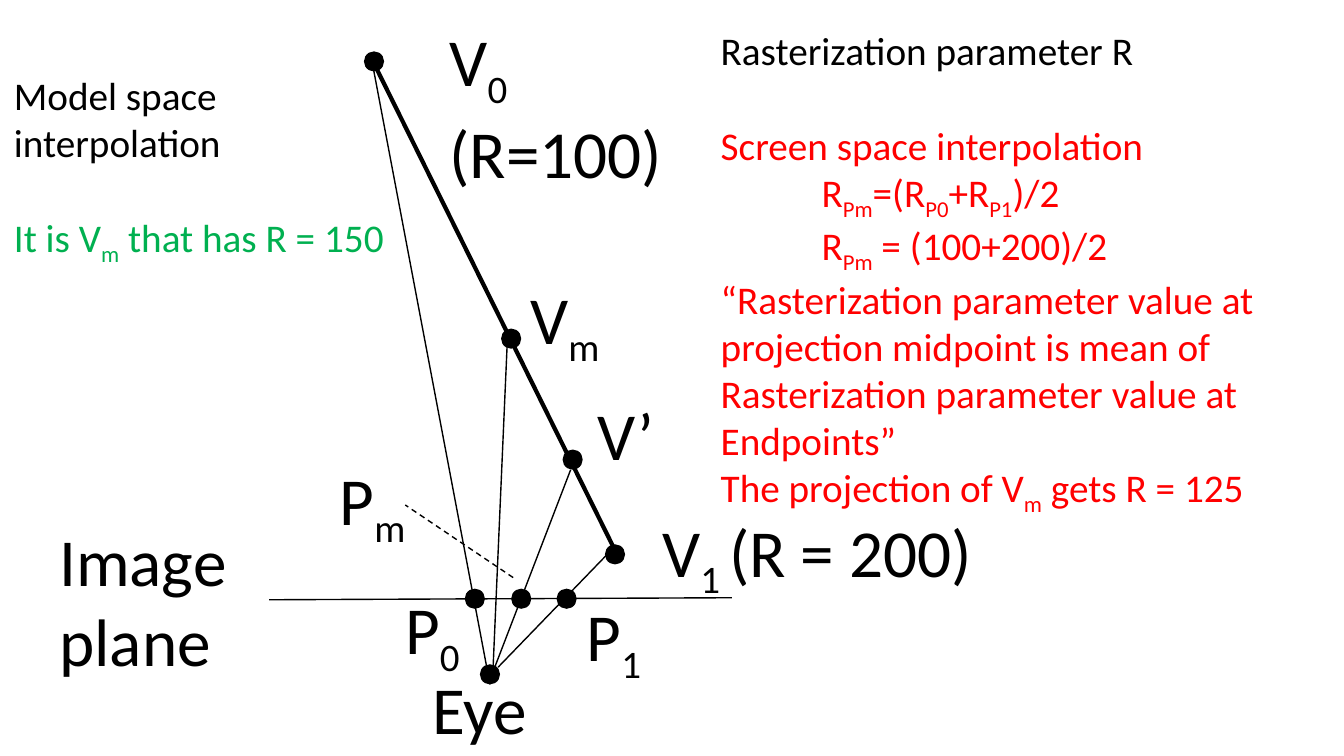
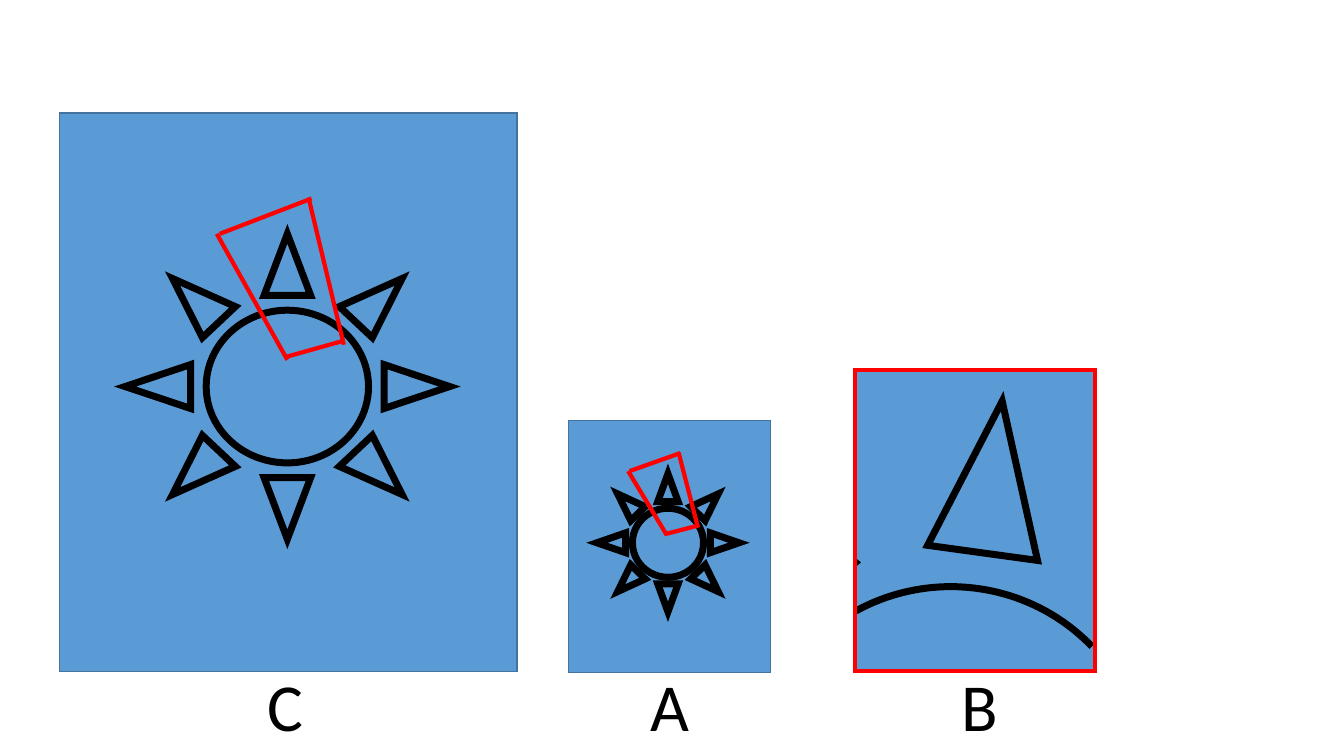
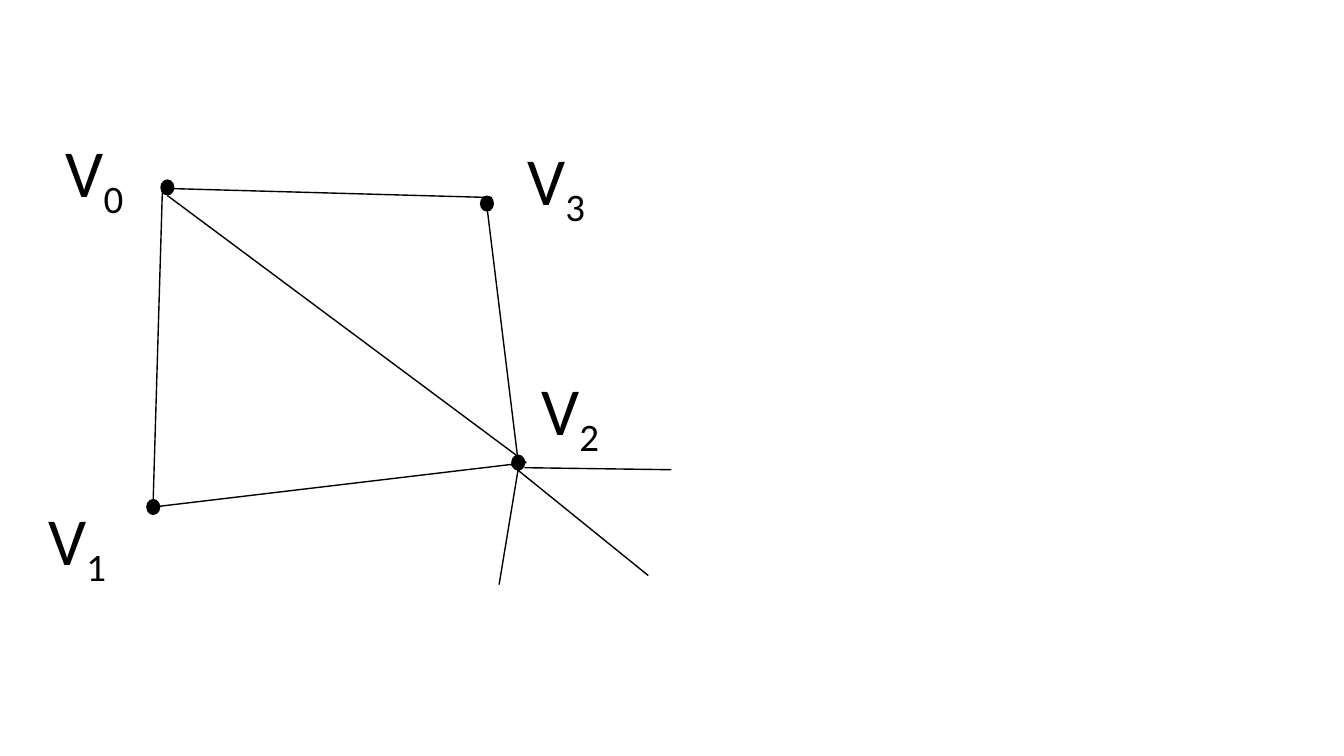
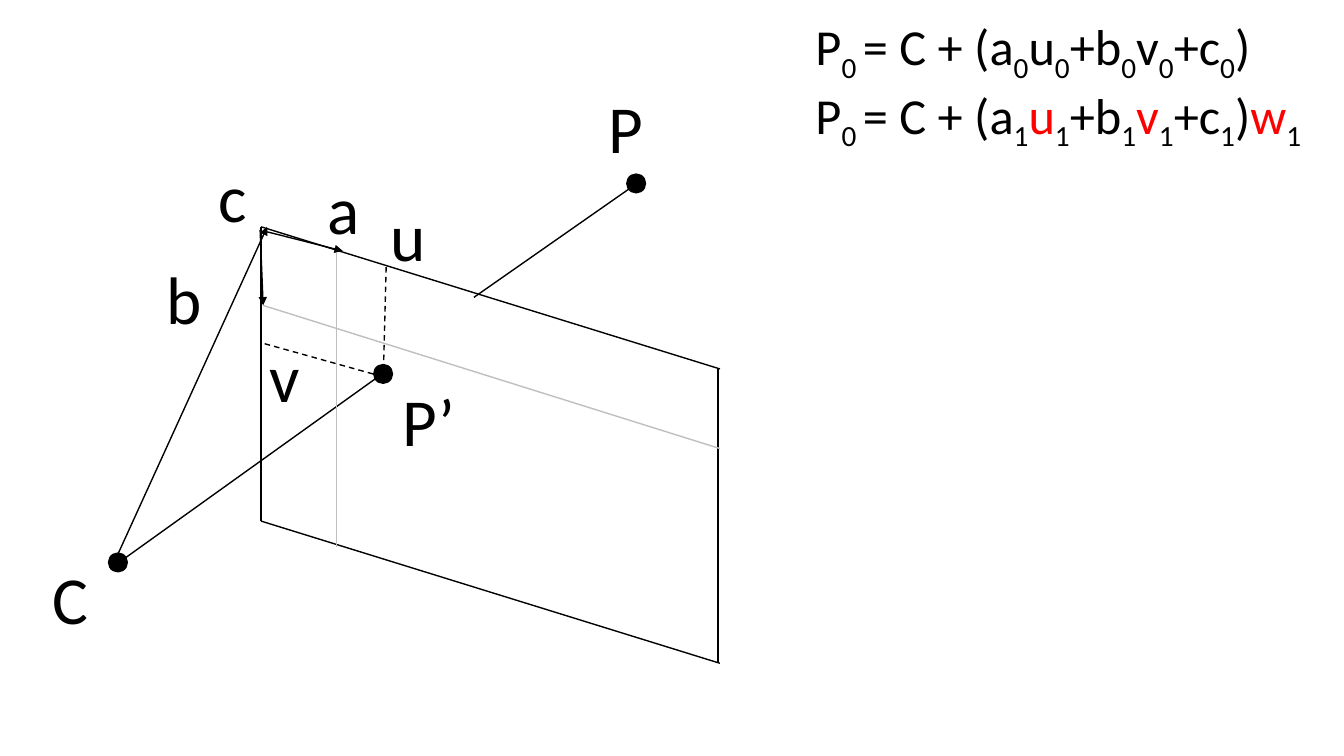
from math import sqrt

from pptx import Presentation
from pptx.dml.color import RGBColor
from pptx.enum.dml import MSO_LINE
from pptx.enum.shapes import MSO_CONNECTOR as CONNECTOR, MSO_SHAPE as SHAPE
from pptx.enum.text import MSO_AUTO_SIZE as AUTO_SIZE
from pptx.oxml.ns import qn
from pptx.util import Inches, Pt

COLORS = {
    "black": "000000",
    "red": "FF0000",
    "green": "00B050",
    "blue": "5B9BD5",
    "edge": "43739E",
    "grey": "BFBFBF",
}
FRAME = {"word_wrap": False, "auto_size": AUTO_SIZE.SHAPE_TO_FIT_TEXT}
FONT = "Calibri"
LINE_HEIGHT = 1.22


def color(name):
    return RGBColor.from_string(COLORS[name])


def set_all(target, values):
    for name, value in values.items():
        setattr(target, name, value)


class Deck:
    def __init__(self):
        self.presentation = Presentation()
        self.presentation.slide_width = Inches(13.33)
        self.presentation.slide_height = Inches(7.5)
        self.slide = None

    def new_slide(self):
        layout = self.presentation.slide_layouts[6]
        self.slide = self.presentation.slides.add_slide(layout)

    def style(self, shape, fill, line, width):
        shape.shadow.inherit = False
        if fill:
            shape.fill.solid()
            shape.fill.fore_color.rgb = color(fill)
        else:
            shape.fill.background()
        if line:
            shape.line.color.rgb = color(line)
            shape.line.width = Pt(width)
            outline = shape.line._get_or_add_ln()
            miter = outline.makeelement(qn("a:miter"), {"lim": "800000"})
            outline.append(miter)
        else:
            shape.line.fill.background()

    def shape(self, kind, box, fill=None, line=None, width=1):
        shape = self.slide.shapes.add_shape(kind, *map(Inches, box))
        self.style(shape, fill, line, width)

    def outline(self, points, fill=None, line=None, width=1, close=True):
        points = [(Inches(x), Inches(y)) for x, y in points]
        builder = self.slide.shapes.build_freeform(*points[0])
        builder.add_line_segments(points[1:], close=close)
        self.style(builder.convert_to_shape(), fill, line, width)

    def dots(self, corners, width=0.2, height=0.2):
        for left, top in corners:
            self.shape(SHAPE.OVAL, (left, top, width, height), "black")

    def lines(self, ends, line="black", width=1, dash=None, arrow=False):
        for points in ends:
            connector = self.slide.shapes.add_connector(
                CONNECTOR.STRAIGHT, *map(Inches, points))
            connector.line.color.rgb = color(line)
            connector.line.width = Pt(width)
            if dash:
                connector.line.dash_style = dash
            properties = connector._element.spPr
            if arrow:
                head = properties.makeelement(
                    qn("a:tailEnd"), {"type": "triangle"})
                properties.find(qn("a:ln")).append(head)
            properties.append(properties.makeelement(qn("a:effectLst"), {}))

    def text(self, box, paragraphs, size=48):
        """Each paragraph is a markup string or (markup, options)."""
        frame = self.slide.shapes.add_textbox(*map(Inches, box)).text_frame
        set_all(frame, FRAME)
        for index, item in enumerate(paragraphs):
            markup, options = (item, {}) if isinstance(item, str) else item
            paragraph = (frame.add_paragraph() if index
                         else frame.paragraphs[0])
            if "indent" in options:
                paragraph._p.get_or_add_pPr().set(
                    "marL", str(Inches(options["indent"])))
            if options.get("gap"):
                paragraph.space_before = Pt(size * LINE_HEIGHT)
            self.runs(paragraph, markup, size, options.get("color", "black"))

    def runs(self, paragraph, markup, size, base):
        """Add runs: *red* is highlighted and |0| is a subscript."""
        for accent, part in enumerate(markup.split("*")):
            for lowered, words in enumerate(part.split("|")):
                if not words:
                    continue
                run = paragraph.add_run()
                run.text = words
                set_all(run.font, {"name": FONT, "size": Pt(size)})
                run.font.color.rgb = color("red" if accent % 2 else base)
                if lowered % 2:
                    run._r.get_or_add_rPr().set("baseline", "-25000")

    def labels(self, items):
        for left, top, width, markup in items:
            self.text((left, top, width, 0.91), [markup])


def interpolation_slide(deck):
    deck.new_slide()
    deck.lines([
        (7.26, 5.93, 2.67, 5.95),
        (4.86, 6.79, 3.69, 0.61),
        (4.94, 6.62, 6.1, 5.42),
        (4.88, 6.69, 5.66, 4.66),
        (4.89, 6.64, 5.03, 3.42),
    ])
    deck.lines([(6.12, 5.5, 3.69, 0.59)], width=3)
    deck.lines([(5.09, 5.73, 4.02, 5.01)], dash=MSO_LINE.DASH)
    deck.dots([(4.76, 6.59), (6, 5.4), (3.61, 0.51), (4.97, 3.26),
               (5.58, 4.46), (4.61, 5.84), (5.07, 5.84), (5.52, 5.84)])
    deck.text((0.49, 5.1, 2.03, 1.72), ["Image", "plane"])
    deck.text((4.36, 0.14, 2.34, 1.72), ["V|0|", "(R=100)"])
    deck.labels([
        (4.19, 6.57, 1.15, "Eye"),
        (6.47, 5.01, 3.35, "V|1 |(R = 200)"),
        (3.92, 5.78, 0.78, "P|0|"),
        (5.72, 5.85, 0.78, "P|1|"),
        (3.27, 4.5, 0.91, "P|m|"),
        (5.16, 2.7, 0.93, "V|m|"),
        (5.83, 3.85, 0.77, "V’"),
    ])
    red = {"color": "red"}
    formula = {"color": "red", "indent": 1}
    deck.text((7.05, 0.21, 5.54, 5.28), [
        "Rasterization parameter R",
        ("Screen space interpolation", {"color": "red", "gap": True}),
        ("R|Pm|=(R|P0|+R|P1|)/2", formula),
        ("R|Pm| = (100+200)/2", formula),
        ("“Rasterization parameter value at", red),
        ("projection midpoint is mean of", red),
        ("Rasterization parameter value at", red),
        ("Endpoints”", red),
        ("The projection of V|m| gets R = 125", red),
    ], 28)
    deck.text((0.04, 0.66, 3.94, 2.46), [
        "Model space",
        "interpolation",
        ("It is V|m| that has R = 150", {"color": "green", "gap": True}),
    ], 28)


def sun_slide(deck):
    deck.new_slide()
    sun = {"fill": "blue", "line": "black", "width": 5}
    panel = {"fill": "blue", "line": "edge"}
    window = [(2.85, 3.57, 2.15, 2.32), (3.41, 3.42, 3.06, 1.96),
              (2.18, 2.32, 3.09, 1.97), (2.84, 3.54, 3.41, 3.38)]
    small_window = [
        tuple(6.23 + (value - 2.15) * 0.55 if index % 2 == 0
              else 4.49 + (value - 1.96) * 0.51
              for index, value in enumerate(ends))
        for ends in window]
    for panel_box, sun_box, ends in (
            ((0.59, 1.12, 4.54, 5.54), (1.24, 2.32, 3.22, 3.03), window),
            ((5.64, 4.17, 2, 2.5), (5.92, 4.7, 1.41, 1.37), small_window)):
        deck.shape(SHAPE.RECTANGLE, panel_box, **panel)
        deck.shape(SHAPE.SUN, sun_box, **sun)
        deck.lines(ends, "red", 3)

    close_up = (8.48, 3.67, 2.38, 2.99)
    deck.shape(SHAPE.RECTANGLE, close_up, **panel)
    deck.outline([(9.94, 3.98), (9.2, 5.41), (10.29, 5.56)], **sun)
    deck.outline([(8.48, 5.53), (8.54, 5.58), (8.48, 5.63)], "black")
    center_x, center_y, radius_x, radius_y = 9.43, 7.7, 1.92, 1.88
    offsets = [-0.94 + 2.34 * step / 40 for step in range(41)]
    deck.outline(
        [(center_x + offset,
          center_y - radius_y * sqrt(1 - (offset / radius_x) ** 2))
         for offset in offsets],
        line="black", width=5, close=False)
    deck.shape(SHAPE.RECTANGLE, close_up, line="red", width=3)
    deck.labels([(2.56, 6.54, 0.56, "C"), (6.35, 6.54, 0.59, "A"),
                 (9.44, 6.54, 0.57, "B")])


def mesh_slide(deck):
    deck.new_slide()
    deck.lines([
        (4.88, 1.96, 1.66, 1.87),
        (5.22, 4.59, 1.52, 5.03),
        (5.22, 4.59, 1.66, 1.94),
        (1.52, 4.95, 1.61, 1.91),
        (5.15, 4.67, 4.82, 1.97),
        (4.95, 5.8, 5.15, 4.59),
        (6.66, 4.66, 5.2, 4.64),
        (6.43, 5.71, 5.07, 4.61),
    ])
    deck.dots([(1.59, 1.78), (4.76, 1.94), (5.07, 4.51), (1.45, 4.95)],
              0.14, 0.16)
    corners = [(0.55, 1.24), (0.38, 4.89), (5.27, 3.6), (5.13, 1.32)]
    deck.labels([(left, top, 0.81, f"V|{index}|")
                 for index, (left, top) in enumerate(corners)])


def camera_slide(deck):
    deck.new_slide()
    deck.lines([
        (6.36, 1.79, 4.7, 2.95),
        (7.14, 3.66, 2.59, 2.25),
        (2.59, 2.25, 2.59, 5.17),
        (7.12, 3.66, 7.12, 6.58),
        (7.14, 6.58, 2.59, 5.17),
        (3.79, 3.71, 1.18, 5.58),
    ])
    deck.lines([(3.83, 2.65, 3.8, 3.79), (3.7, 3.71, 2.59, 3.4)],
               dash=MSO_LINE.DASH)
    deck.lines([(1.1, 5.65, 2.65, 2.25), (2.65, 2.3, 3.4, 2.49),
                (2.58, 2.28, 2.61, 3.03)], arrow=True)
    deck.lines([(3.34, 2.51, 3.34, 5.43), (2.61, 3.03, 7.14, 4.45)], "grey")
    deck.dots([(1.07, 5.48), (6.21, 1.72), (3.7, 3.61)])
    deck.labels([
        (5.94, 0.81, 0.55, "P"),
        (0.42, 5.48, 0.56, "C"),
        (3.89, 3.71, 0.73, "P’"),
        (3.78, 1.88, 0.54, "u"),
        (2.57, 3.28, 0.51, "v"),
        (2.07, 1.49, 0.49, "c"),
        (3.15, 1.61, 0.52, "a"),
        (1.55, 2.5, 0.56, "b"),
    ])
    deck.text((7.99, 0.1, 5.34, 1.72), [
        "P|0 |= C + (a|0|u|0|+b|0|v|0|+c|0|)",
        "P|0 |= C + (a|1|*u*|1|+b|1|*v*|1|+c|1|)*w*|1|",
    ], 36)


def main():
    deck = Deck()
    for build in (interpolation_slide, sun_slide, mesh_slide, camera_slide):
        build(deck)
    deck.presentation.save("out.pptx")


if __name__ == "__main__":
    main()
